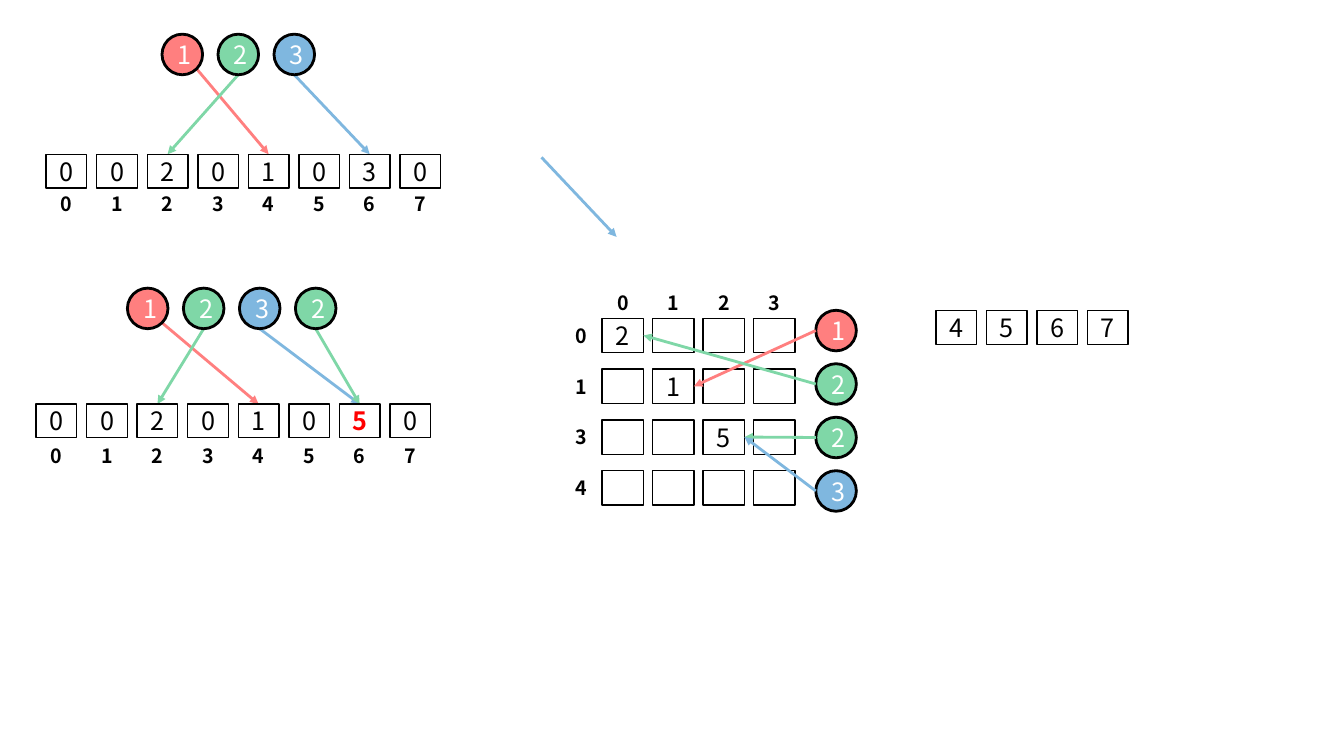
from dataclasses import dataclass

from lxml.etree import SubElement
from pptx import Presentation
from pptx.dml.color import RGBColor
from pptx.enum.shapes import MSO_CONNECTOR, MSO_SHAPE
from pptx.enum.text import MSO_ANCHOR, PP_ALIGN
from pptx.oxml.ns import qn
from pptx.util import Pt


@dataclass(frozen=True)
class Theme:
    """Colours, font and sizes in points."""
    font: str = "Noto Sans CJK SC"
    black: str = "000000"
    white: str = "FFFFFF"
    alert: str = "FF0000"
    value_size: int = 18
    index_size: int = 14
    thin: int = 1
    thick: int = 2
    opacity: int = 50000
    ball_colors: tuple = ("FF0000", "00B050", "0070C0")
    arrow_colors: tuple = ("FF7F7F", "7FD7A7", "7FB7DF")


BALL = 29
CELL_WIDTH, CELL_HEIGHT = 29, 24
CELL_STEP = 36.1
BALL_STEP = 40


class Canvas:
    """Draws styled elements on the current slide."""

    def __init__(self, slide, theme):
        """Keep the slide and its style."""
        self.shapes = slide.shapes
        self.theme = theme

    def put_text(self, shape, text, **formats):
        """Put one centred, formatted text span in a shape."""
        frame = shape.text_frame
        frame.word_wrap = True
        frame.vertical_anchor = MSO_ANCHOR.MIDDLE
        para = frame.paragraphs[0]
        para.alignment = PP_ALIGN.CENTER
        span = para.add_run()
        span.text = text
        color = formats.pop("color", self.theme.black)
        span.font.color.rgb = RGBColor.from_string(color)
        values = {"name": self.theme.font, "size": Pt(self.theme.value_size), **formats}
        for name, value in values.items():
            setattr(span.font, name, value)

    def outline(self, kind, left, top, width, height, weight):
        """Add an unfilled preset shape with a black outline."""
        shape = self.shapes.add_shape(kind, Pt(left), Pt(top), Pt(width), Pt(height))
        shape.shadow.inherit = False
        shape.fill.background()
        shape.line.color.rgb = RGBColor.from_string(self.theme.black)
        shape.line.width = Pt(weight)
        return shape

    def ball(self, left, top, text):
        """Add a half-transparent numbered ball."""
        shape = self.outline(MSO_SHAPE.OVAL, left, top, BALL, BALL, self.theme.thick)
        shape.fill.solid()
        fill_color = self.theme.ball_colors[int(text) - 1]
        shape.fill.fore_color.rgb = RGBColor.from_string(fill_color)
        color = shape.element.spPr.find(f"{qn('a:solidFill')}/{qn('a:srgbClr')}")
        SubElement(color, qn("a:alpha"), val=str(self.theme.opacity))
        self.put_text(shape, text, color=self.theme.white)

    def cell(self, left, top, text="", width=CELL_WIDTH, height=CELL_HEIGHT, **formats):
        """Add an array cell, with its value if it has one."""
        shape = self.outline(MSO_SHAPE.RECTANGLE, left, top, width, height, self.theme.thin)
        if text:
            self.put_text(shape, text, **formats)

    def index(self, left, top, text):
        """Add a bold index label."""
        box = self.shapes.add_textbox(Pt(left), Pt(top), Pt(CELL_WIDTH), Pt(CELL_HEIGHT))
        self.put_text(box, text, size=Pt(self.theme.index_size), bold=True)

    def arrow(self, start, end, ball):
        """Add an arrow in the colour of a ball."""
        arrow = self.shapes.add_connector(MSO_CONNECTOR.STRAIGHT, *map(Pt, (*start, *end)))
        arrow.line.color.rgb = RGBColor.from_string(self.theme.arrow_colors[int(ball) - 1])
        arrow.line.width = Pt(self.theme.thick)
        properties = arrow.element.spPr
        SubElement(properties.find(qn("a:ln")), qn("a:tailEnd"), type="triangle")
        SubElement(properties, qn("a:effectLst"))


def draw_row(canvas, left, top, values, marked=None):
    """Draw a row of cells, with one of them marked if asked."""
    for position, value in enumerate(values):
        formats = {"color": canvas.theme.alert, "bold": True} if position == marked else {}
        canvas.cell(left + position * CELL_STEP, top, value, **formats)


def draw_indices(canvas, left, top, labels):
    """Draw a row of index labels."""
    for position, label in enumerate(labels):
        canvas.index(left + position * CELL_STEP, top, label)


def draw_hashing(canvas, balls, balls_at, targets, values, row_at, index_top, marked=None):
    """Draw balls that point to cells of an indexed array."""
    ball_left, ball_top = balls_at
    row_left, row_top = row_at
    lefts = [ball_left + position * BALL_STEP for position in range(len(balls))]
    corner = BALL / 2 * (1 + 0.5 ** 0.5)
    for left, ball, target in zip(lefts, balls, targets):
        offset = (corner, corner) if ball == "1" else (BALL / 2, BALL)
        end = (row_left + target * CELL_STEP + CELL_WIDTH / 2, row_top)
        canvas.arrow((left + offset[0], ball_top + offset[1]), end, ball)
    for left, ball in zip(lefts, balls):
        canvas.ball(left, ball_top, ball)
    draw_row(canvas, row_left, row_top, values, marked)
    draw_indices(canvas, row_left, index_top, "01234567")


def draw_matrix(canvas):
    """Draw the cell matrix with its labels, balls and arrows."""
    left, top, row_step = 430, 227.3, 36.3
    width, height = 29.6, 24.6
    ball_left, ball_top, ball_step = 582.7, 221.6, 38.2
    values = {(0, 0): "2", (1, 1): "1", (2, 2): "5"}
    targets = [(1, 1), (0, 0), (2, 2), (2, 2)]
    draw_indices(canvas, left + 0.5, 204, "0123")
    for row, label in enumerate("0134"):
        row_top = top + row * row_step
        canvas.index(left - CELL_WIDTH, row_top + 0.3, label)
        for column in range(4):
            text = values.get((row, column), "")
            canvas.cell(left + column * CELL_STEP, row_top, text, width, height)
    for position, (ball, (row, column)) in enumerate(zip("1223", targets)):
        ball_y = ball_top + position * ball_step
        canvas.ball(ball_left, ball_y, ball)
        end = (left + column * CELL_STEP + width, top + row * row_step + height / 2)
        canvas.arrow((ball_left, ball_y + BALL / 2), end, ball)


def main():
    """Build and save the deck."""
    deck = Presentation()
    deck.slide_width, deck.slide_height = Pt(960), Pt(540)
    page = deck.slides.add_slide(deck.slide_layouts[6])
    canvas = Canvas(page, Theme())
    draw_hashing(canvas, "123", (115.7, 24.4), (4, 2, 6), "00201030",
                 (33, 110.2), 133.2)
    draw_hashing(canvas, "1232", (91, 205.8), (4, 2, 6, 6), "00201050",
                 (25.8, 288.6), 313.2, marked=6)
    draw_matrix(canvas)
    draw_row(canvas, 668.6, 221.9, "4567")
    canvas.arrow((386.8, 112.4), (440.4, 169.2), "3")
    deck.save("out.pptx")


main()
